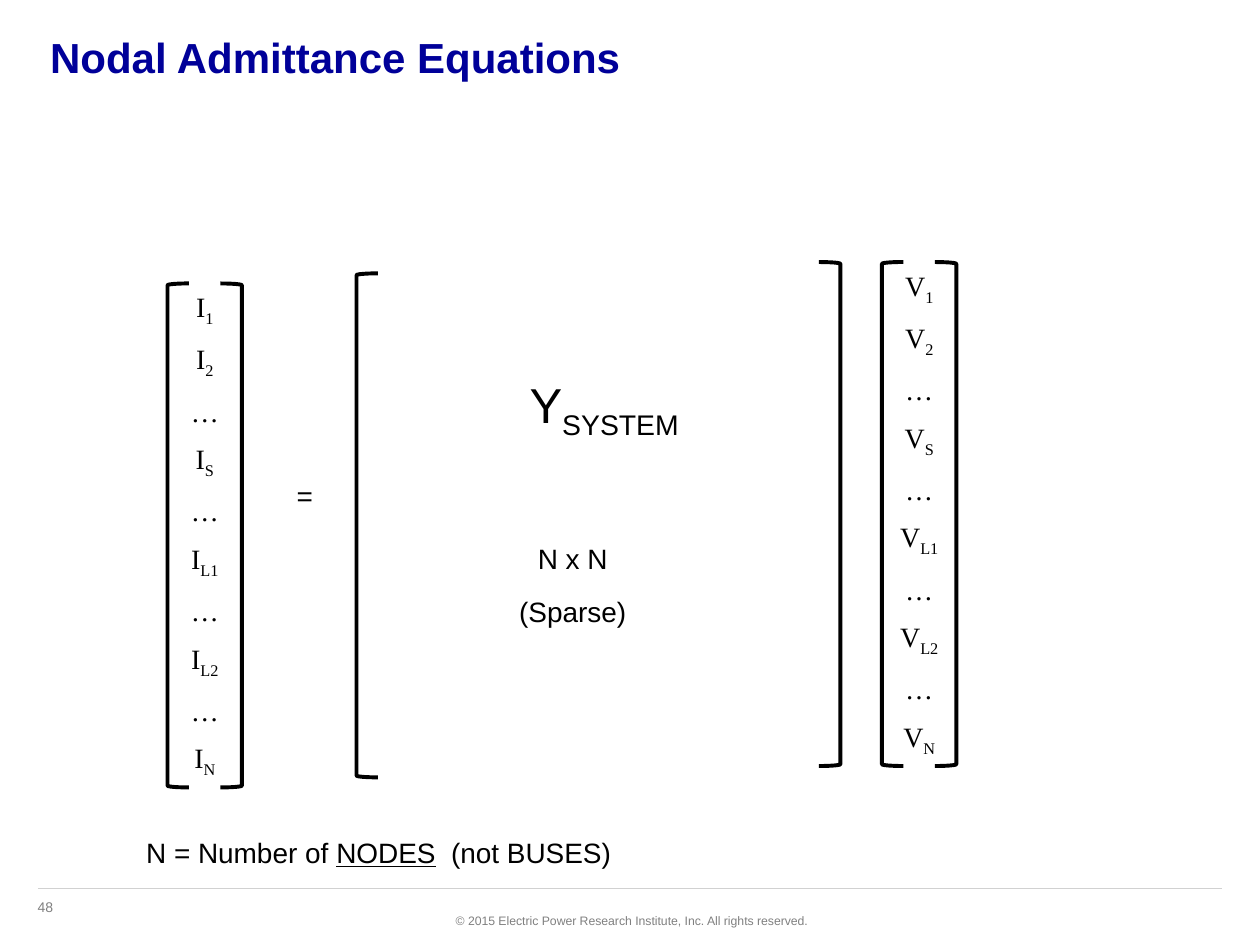
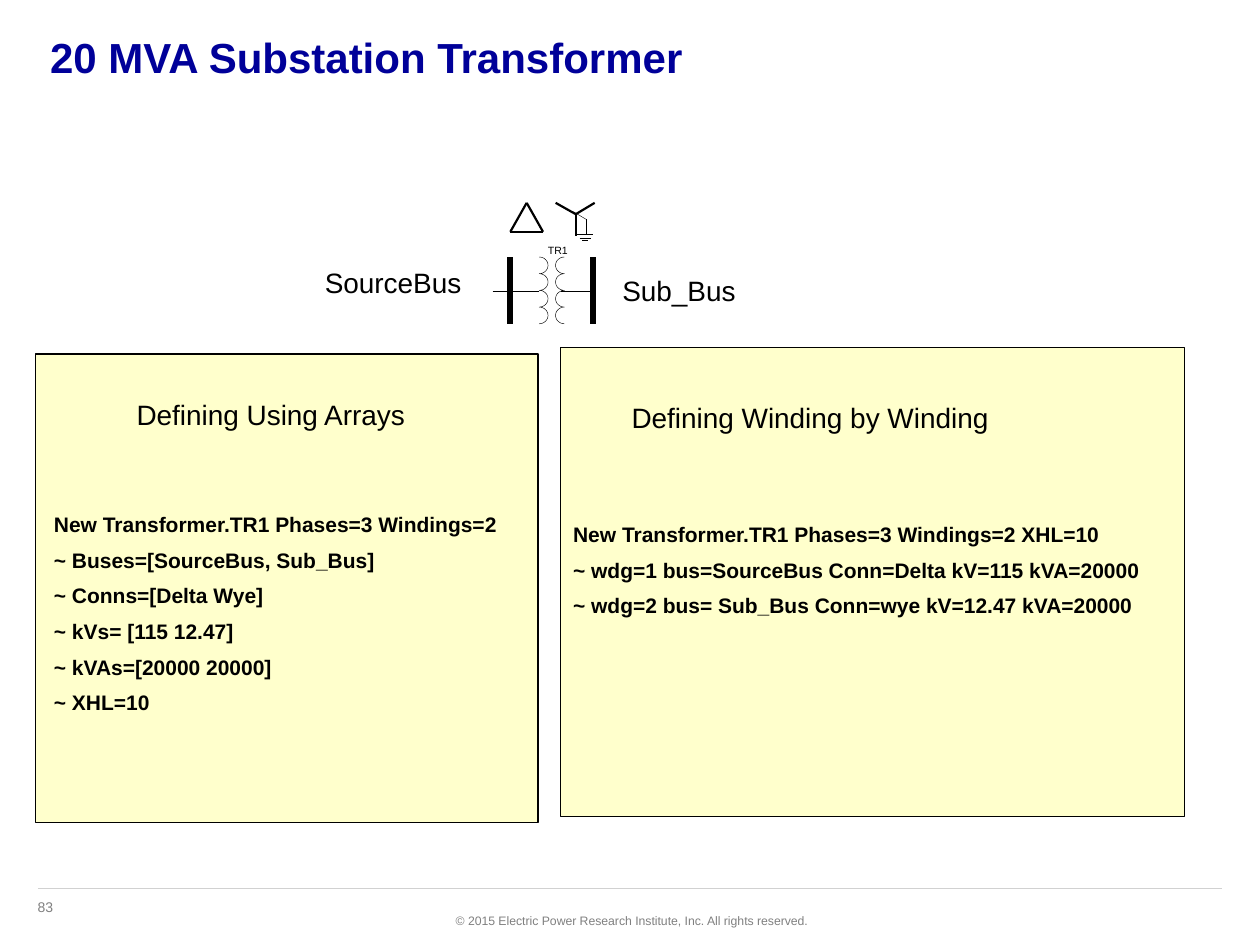
import math

from lxml import etree
from pptx import Presentation
from pptx.dml.color import RGBColor
from pptx.enum.shapes import MSO_CONNECTOR, MSO_SHAPE
from pptx.enum.text import MSO_ANCHOR, PP_ALIGN
from pptx.oxml.ns import qn
from pptx.util import Inches, Pt

LEFT, CENTER, RIGHT = PP_ALIGN.LEFT, PP_ALIGN.CENTER, PP_ALIGN.RIGHT
TOP = MSO_ANCHOR.TOP
STRAIGHT = MSO_CONNECTOR.STRAIGHT
RECTANGLE = MSO_SHAPE.RECTANGLE
LEFT_BRACKET, RIGHT_BRACKET = MSO_SHAPE.LEFT_BRACKET, MSO_SHAPE.RIGHT_BRACKET

BLACK, NAVY, GRAY, RULE_GRAY, CREAM = "000000", "000099", "808080", "D1D1D1", "FFFFCC"
SANS, SERIF = "Arial", "Times New Roman"
COPYRIGHT = "© 2015 Electric Power Research Institute, Inc. All rights reserved."
BRACKET_WIDTH, BRACKET_HEIGHT = 0.17, 4
THIN, MEDIUM, THICK = 0.25, 1.25, 3.38


def color(value):
    return RGBColor.from_string(value)


class Deck:
    """Holds the shared style and the slide being built."""

    def __init__(self):
        self.presentation = Presentation()
        self.presentation.slide_width = Inches(10)
        self.presentation.slide_height = Inches(7.5)
        self.slide = None

    def new_slide(self, title, number):
        layout = self.presentation.slide_layouts[6]
        self.slide = self.presentation.slides.add_slide(layout)
        # Footer
        self.text(0.2, 7.08, 0.66, 0.24, [number], size=8, ink=GRAY)
        self.line(0.3, 7.05, 9.7, 7.05, 0.75, RULE_GRAY)
        self.text(3.49, 7.2, 3.02, 0.22, [COPYRIGHT], size=7, ink=GRAY,
                  align=RIGHT, wrap=False)
        # Title
        self.text(0.3, 0.2, 9.4, 0.8, [title], size=24, ink=NAVY, bold=True)

    def text(self, left, top, width, height, paragraphs, size=16, ink=BLACK, font=SANS,
             bold=False, align=LEFT, wrap=True, margins=True):
        """Each paragraph is a string or a list of (text, style) runs."""
        box = self.slide.shapes.add_textbox(
            Inches(left), Inches(top), Inches(width), Inches(height))
        frame = box.text_frame
        frame.word_wrap = wrap
        frame.vertical_anchor = TOP
        if not margins:
            frame.margin_left = frame.margin_right = 0
            frame.margin_top = frame.margin_bottom = 0
        for index, content in enumerate(paragraphs):
            paragraph = frame.add_paragraph() if index else frame.paragraphs[0]
            paragraph.alignment = align
            if index:
                paragraph.space_before = Pt(size / 2)
            runs = [(content, "plain")] if isinstance(content, str) else content
            for words, style in runs:
                run = paragraph.add_run()
                run.text = words
                run.font.name = font
                run.font.size = Pt(size)
                run.font.bold = bold
                run.font.color.rgb = color(ink)
                if style == "underline":
                    run.font.underline = True
                elif style == "subscript":
                    run._r.get_or_add_rPr().set("baseline", "-25000")

    def line(self, x1, y1, x2, y2, weight, ink=BLACK):
        connector = self.slide.shapes.add_connector(
            STRAIGHT, Inches(x1), Inches(y1), Inches(x2), Inches(y2))
        connector.line.color.rgb = color(ink)
        connector.line.width = Pt(weight)
        etree.SubElement(connector._element.spPr, qn("a:effectLst"))

    def outline(self, shape, weight, fill=None):
        shape.shadow.inherit = False
        shape.line.color.rgb = color(BLACK)
        shape.line.width = Pt(weight)
        if fill:
            shape.fill.solid()
            shape.fill.fore_color.rgb = color(fill)
        else:
            shape.fill.background()

    def panel(self, left, top, width, height):
        shape = self.slide.shapes.add_shape(
            RECTANGLE, Inches(left), Inches(top), Inches(width), Inches(height))
        self.outline(shape, 0.75, CREAM)

    def bracket(self, kind, left, top):
        shape = self.slide.shapes.add_shape(
            kind, Inches(left), Inches(top), Inches(BRACKET_WIDTH), Inches(BRACKET_HEIGHT))
        shape.adjustments[0] = 0.083
        self.outline(shape, 2.25)

    def coil(self, x, top, bottom, bulge, turns=4, steps=16):
        """A winding: a row of half turns that bulge sideways from x."""
        turn = (bottom - top) / turns
        points = []
        for index in range(turns * steps + 1):
            number, step = divmod(index, steps)
            angle = math.pi * step / steps
            y = bottom - turn * (number + (1 - math.cos(angle)) / 2)
            points.append((Inches(x + bulge * math.sin(angle)), Inches(y)))
        builder = self.slide.shapes.build_freeform(*points[0])
        builder.add_line_segments(points[1:], close=False)
        self.outline(builder.convert_to_shape(), THIN)


def vector_entries(symbol):
    entries = []
    for index in ("1", "2", None, "S", None, "L1", None, "L2", None, "N"):
        entries.append([(symbol, "plain"), (index, "subscript")] if index else "…")
    return entries


def build_admittance_slide(deck):
    deck.new_slide("Nodal Admittance Equations", "48")

    # Current and voltage vectors
    for symbol, left, top in (("I", 1.25, 2.25), ("V", 6.92, 2.08)):
        deck.text(left, top, 0.75, 4.01, vector_entries(symbol), font=SERIF, align=CENTER)
        deck.bracket(LEFT_BRACKET, left + 0.08, top)
        deck.bracket(RIGHT_BRACKET, left + 0.5, top)

    # System matrix
    deck.bracket(LEFT_BRACKET, 2.83, 2.17)
    deck.bracket(RIGHT_BRACKET, 6.5, 2.08)
    deck.text(2.17, 3.75, 0.5, 0.37, ["="], align=CENTER)
    deck.text(3.92, 2.92, 1.75, 0.57, [[("Y", "plain"), ("SYSTEM", "subscript")]],
              size=28, align=CENTER)
    for top, label in ((4.25, "N x N"), (4.67, "(Sparse)")):
        deck.text(3.67, top, 1.75, 0.37, [label], align=CENTER)

    # Meaning of N
    meaning = [("N = Number of ", "plain"), ("NODES", "underline"), ("  (not BUSES)", "plain")]
    deck.text(0.92, 6.58, 4.17, 0.37, [meaning], align=CENTER)


def build_transformer_slide(deck):
    deck.new_slide("20 MVA Substation Transformer", "83")

    # Panels with the two definitions
    deck.panel(4.45, 2.76, 4.95, 3.72)
    deck.panel(0.28, 2.81, 3.99, 3.72)
    deck.text(0.47, 3.11, 3.36, 0.37, ["Defining Using Arrays"], align=CENTER)
    deck.text(4.75, 3.13, 3.36, 0.37, ["Defining Winding by Winding"], align=CENTER)
    array_code = [
        "New Transformer.TR1 Phases=3 Windings=2",
        "~ Buses=[SourceBus, Sub_Bus]",
        "~ Conns=[Delta Wye]",
        "~ kVs= [115 12.47]",
        "~ kVAs=[20000 20000]",
        "~ XHL=10",
    ]
    winding_code = [
        "New Transformer.TR1 Phases=3 Windings=2 XHL=10",
        "~ wdg=1 bus=SourceBus Conn=Delta kV=115 kVA=20000",
        "~ wdg=2 bus= Sub_Bus Conn=wye kV=12.47 kVA=20000",
    ]
    deck.text(0.33, 4.01, 4.53, 2.1, array_code, size=12, bold=True)
    deck.text(4.45, 4.09, 5.19, 1.2, winding_code, size=12, bold=True)

    # Bus bars, leads and windings
    for bar in (4.05, 4.71):
        deck.line(bar, 2.04, bar, 2.57, THICK)
    for start, end in ((3.91, 4.05), (4.28, 4.05), (4.71, 4.45)):
        deck.line(start, 2.31, end, 2.31, THIN)
    deck.coil(4.28, 2.04, 2.57, 0.07)
    deck.coil(4.48, 2.04, 2.57, -0.07)

    # Delta symbol
    corners = [(4.05, 1.84), (4.18, 1.61), (4.31, 1.84)]
    for start, end in zip(corners, corners[1:] + corners[:1]):
        deck.line(*start, *end, MEDIUM)

    # Grounded wye symbol
    for end in ((4.57, 1.87), (4.72, 1.61), (4.41, 1.61)):
        deck.line(4.57, 1.7, *end, MEDIUM)
    deck.line(4.65, 1.74, 4.55, 1.68, THIN)
    deck.line(4.65, 1.74, 4.65, 1.86, THIN)
    for left, right, y in ((4.58, 4.71, 1.86), (4.6, 4.69, 1.89), (4.62, 4.67, 1.91)):
        deck.line(left, y, right, y, THIN)

    # Transformer name, its two parts meeting at one edge
    for left, label, align in ((4.26, "TR", RIGHT), (4.46, "1", LEFT)):
        deck.text(left, 1.94, 0.2, 0.1, [label], size=6, align=align, margins=False)

    # Bus names
    deck.text(4.84, 2.12, 1.91, 0.37, ["Sub_Bus"])
    deck.text(1.85, 2.06, 1.91, 0.37, ["SourceBus"], align=RIGHT)


def main():
    deck = Deck()
    build_admittance_slide(deck)
    build_transformer_slide(deck)
    deck.presentation.save("out.pptx")


if __name__ == "__main__":
    main()
